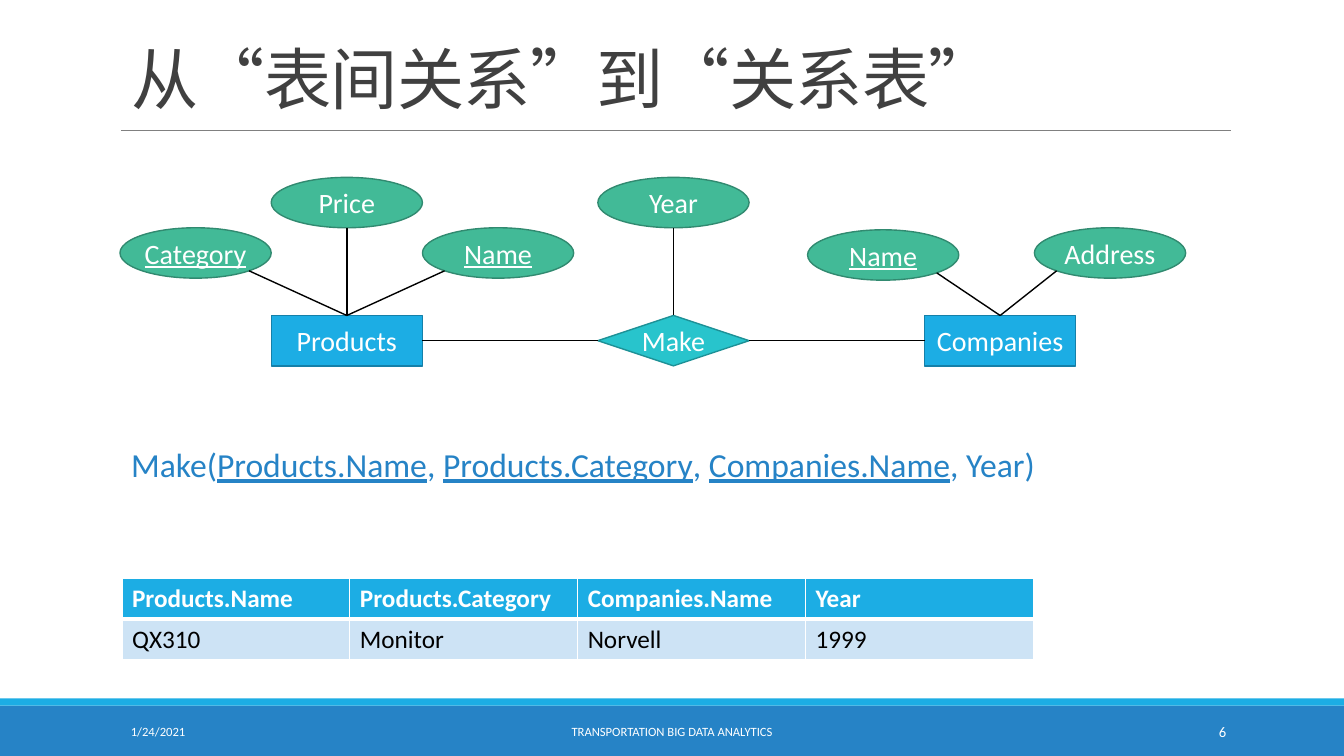
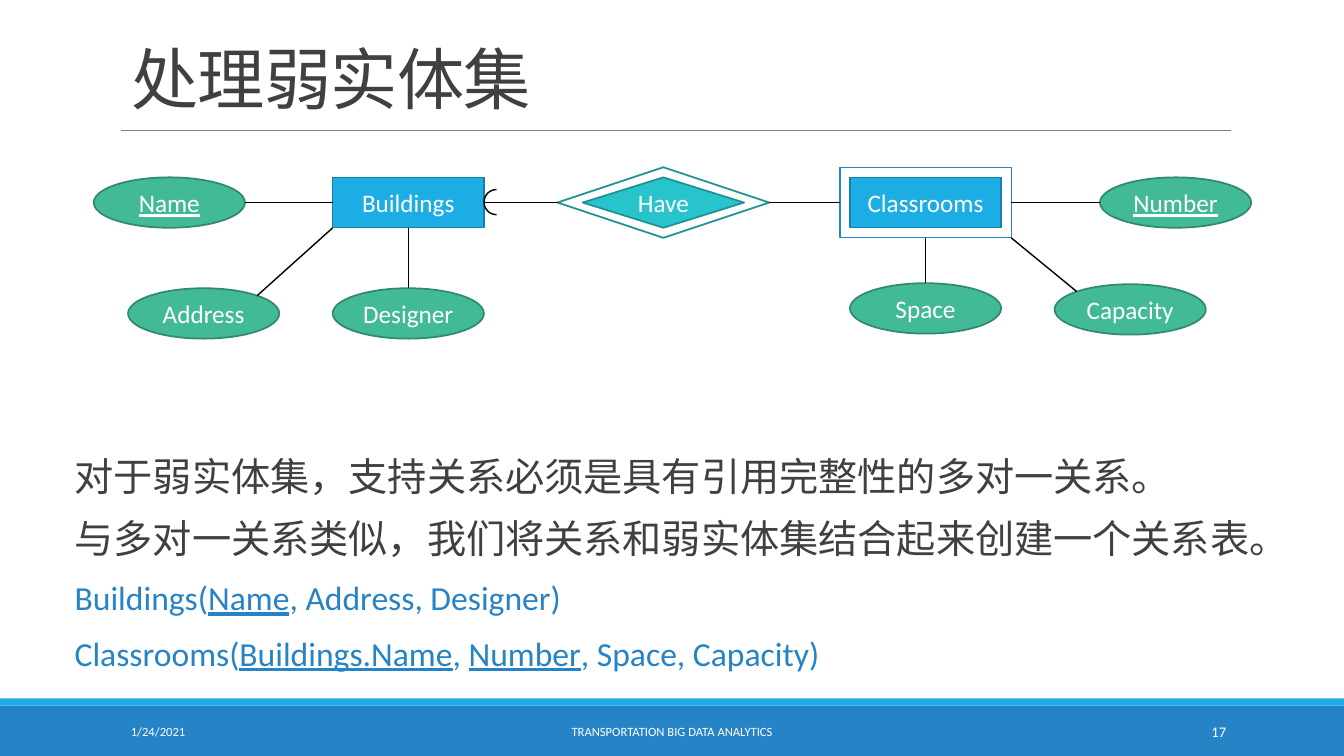
import lxml.etree
import pptx
import pptx.dml.color
import pptx.enum.shapes
import pptx.enum.text
import pptx.oxml.ns
import pptx.util

SHAPE = pptx.enum.shapes.MSO_SHAPE
ALIGN = pptx.enum.text.PP_ALIGN
ANCHOR = pptx.enum.text.MSO_ANCHOR
FONT = "Calibri"
WHITE, BLACK, DARK, GRAY = "FFFFFF", "000000", "404040", "808080"
BLUE, SKY, PALE, TEAL = "2683C6", "1CADE4", "CDE3F5", "1E9197"
KINDS = {
    "entity": (SHAPE.RECTANGLE, SKY, "1580A9"),
    "field": (SHAPE.OVAL, "42BA97", "318A70"),
    "bond": (SHAPE.DIAMOND, "28C4CC", TEAL),
}
SIDES = {"n": (0, -1), "s": (0, 1), "w": (-1, 0), "e": (1, 0),
         "nw": (-1, -1), "ne": (1, -1), "sw": (-1, 1), "se": (1, 1)}


def px(size):
    return pptx.util.Emu(round(size * 9144))


def color(code):
    return pptx.dml.color.RGBColor.from_string(code)


def tag(parent, name, **attrs):
    return lxml.etree.SubElement(parent, pptx.oxml.ns.qn(name), attrs)


def spot(shape, side):
    dx, dy = SIDES[side]
    oval = shape.auto_shape_type == SHAPE.OVAL
    reach = 0.3536 if oval and dx and dy else 0.5
    return (round(shape.left + shape.width * (0.5 + dx * reach)),
            round(shape.top + shape.height * (0.5 + dy * reach)))


class Deck:
    def __init__(self):
        self.file = pptx.Presentation()
        self.file.slide_width = px(1333)
        self.file.slide_height = px(750)

    def start(self, title, page, size, edge):
        self.slide = self.file.slides.add_slide(self.file.slide_layouts[1])
        self.shapes = self.slide.shapes
        self.size, self.edge = size, edge
        self.box(SHAPE.RECTANGLE, (0, 700, 1333, 50), BLUE)
        self.box(SHAPE.RECTANGLE, (0, 693, 1333, 7), SKY)
        self.line((px(120), px(129)), (px(1221), px(129)), GRAY, 0.5)
        self.note((120, 706, 270, 40), "1/24/2021", 9, ALIGN.LEFT)
        self.note((403, 706, 527, 40), "TRANSPORTATION BIG DATA ANALYTICS", 9, ALIGN.CENTER)
        self.note((1083, 706, 143, 40), page, 10.5, ALIGN.RIGHT)
        self.head(title)

    def place(self, shape, area):
        shape.left, shape.top, shape.width, shape.height = map(px, area)

    def label(self, para, text, size, code, bold=False):
        runs = []
        for index, part in enumerate(text.split("_")):
            if part:
                run = para.add_run()
                run.text = part
                font = run.font
                font.name, font.size, font.bold = FONT, pptx.util.Pt(size), bold
                font.underline = index % 2 == 1
                font.color.rgb = color(code)
                runs.append(run)
        return runs

    def head(self, text):
        title = self.shapes.title
        self.place(title, (120, 13, 1100, 109))
        frame = title.text_frame
        frame.auto_size = pptx.enum.text.MSO_AUTO_SIZE.NONE
        frame.vertical_anchor = ANCHOR.BOTTOM
        para = frame.paragraphs[0]
        para.alignment, para.line_spacing = ALIGN.LEFT, 0.85
        for run in self.label(para, text, 48, DARK):
            run._r.get_or_add_rPr().set("spc", "-50")

    def body(self, area, rows):
        holder = self.slide.placeholders[1]
        self.place(holder, area)
        frame = holder.text_frame
        frame.auto_size = pptx.enum.text.MSO_AUTO_SIZE.NONE
        frame.vertical_anchor = ANCHOR.TOP
        frame.margin_left = frame.margin_right = 0
        for index, (text, size, code) in enumerate(rows):
            para = frame.add_paragraph() if index else frame.paragraphs[0]
            para.line_spacing = 0.9
            para.space_before, para.space_after = pptx.util.Pt(12), pptx.util.Pt(2)
            props = para._p.get_or_add_pPr()
            props.set("marL", str(px(10)))
            props.set("indent", "0")
            tag(props, "a:buNone")
            self.label(para, text, size, code)

    def note(self, area, text, size, align):
        frame = self.shapes.add_textbox(*map(px, area)).text_frame
        frame.word_wrap = True
        frame.vertical_anchor = ANCHOR.MIDDLE
        frame.paragraphs[0].alignment = align
        self.label(frame.paragraphs[0], text, size, WHITE)

    def box(self, kind, area, fill=None, edge=None, width=1):
        shape = self.shapes.add_shape(kind, *map(px, area))
        shape.shadow.inherit = False
        if fill:
            shape.fill.solid()
            shape.fill.fore_color.rgb = color(fill)
        else:
            shape.fill.background()
        if edge:
            shape.line.color.rgb = color(edge)
            shape.line.width = pptx.util.Pt(width)
        else:
            shape.line.fill.background()
        return shape

    def node(self, kind, text, x, y, wide=150):
        form, fill, edge = KINDS[kind]
        width = 1 if kind == "entity" else self.edge
        shape = self.box(form, (x, y, wide, 50), fill, edge, width)
        frame = shape.text_frame
        frame.word_wrap = False
        frame.vertical_anchor = ANCHOR.MIDDLE
        frame.paragraphs[0].alignment = ALIGN.CENTER
        self.label(frame.paragraphs[0], text, self.size, WHITE)
        return shape

    def line(self, start, end, code=BLACK, width=1):
        line = self.shapes.add_connector(
            pptx.enum.shapes.MSO_CONNECTOR.STRAIGHT, *start, *end)
        line.line.color.rgb = color(code)
        line.line.width = pptx.util.Pt(width)
        tag(line.element.spPr, "a:effectLst")

    def link(self, first, side, last, other):
        self.line(spot(first, side), spot(last, other))

    def table(self, x, y, wide, high, rows):
        count = len(rows[0])
        grid = self.shapes.add_table(
            len(rows), count, px(x), px(y), px(wide * count), px(high * len(rows))).table
        for r, row in enumerate(rows):
            for c, text in enumerate(row):
                cell = grid.cell(r, c)
                props = cell._tc.get_or_add_tcPr()
                for edge in ("L", "R", "T", "B"):
                    thick = (r, edge) in ((0, "B"), (1, "T"))
                    rule = tag(props, "a:ln" + edge, w=str(pptx.util.Pt(3 if thick else 1)))
                    tag(tag(rule, "a:solidFill"), "a:srgbClr", val=WHITE)
                cell.fill.solid()
                cell.fill.fore_color.rgb = color(PALE if r else SKY)
                self.label(cell.text_frame.paragraphs[0], text, 18,
                           BLACK if r else WHITE, r == 0)


def make(deck):
    deck.start("从“表间关系”到“关系表”", "6", 20, 1)
    deck.body((120, 440, 1100, 109), [
        ("Make(_Products.Name_, _Products.Category_, _Companies.Name_, Year)", 24, BLUE)])
    bond = deck.node("bond", "Make", 593, 313)
    firm = deck.node("entity", "Companies", 917, 313)
    goods = deck.node("entity", "Products", 269, 313)
    for text, x, y, side, owner in (
            ("_Category_", 119, 226, "se", goods),
            ("Price", 269, 176, "s", goods),
            ("_Name_", 419, 226, "sw", goods),
            ("Year", 593, 176, "s", bond),
            ("_Name_", 801, 228, "se", firm),
            ("Address", 1026, 226, "sw", firm)):
        deck.link(deck.node("field", text, x, y), side, owner, "n")
    deck.link(goods, "e", bond, "w")
    deck.link(bond, "e", firm, "w")
    deck.table(121, 574, 226, 40, [
        ("Products.Name", "Products.Category", "Companies.Name", "Year"),
        ("QX310", "Monitor", "Norvell", "1999")])


def weak(deck):
    deck.start("处理弱实体集", "17", 18, 1.25)
    deck.body((64, 449, 1243, 241), [
        ("对于弱实体集，支持关系必须是具有引用完整性的多对一关系。", 28, DARK),
        ("与多对一关系类似，我们将关系和弱实体集结合起来创建一个关系表。", 28, DARK),
        ("Buildings(_Name_, Address, Designer)", 24, BLUE),
        ("Classrooms(_Buildings.Name_, _Number_, Space, Capacity)", 24, BLUE)])
    house = deck.node("entity", "Buildings", 330, 176)
    deck.node("entity", "Classrooms", 843, 176)
    room = deck.box(SHAPE.RECTANGLE, (833, 166, 170, 70), None, BLUE)
    deck.node("bond", "Have", 578, 176, 160)
    bond = deck.box(SHAPE.DIAMOND, (553, 166, 210, 70), None, TEAL, 1.25)
    for text, x, y, side, owner, other in (
            ("_Name_", 93, 176, "e", house, "w"),
            ("Address", 127, 286, "ne", house, "sw"),
            ("Designer", 330, 286, "n", house, "s"),
            ("_Number_", 1091, 176, "w", room, "e"),
            ("Space", 843, 281, "n", room, "s"),
            ("Capacity", 1046, 282, "nw", room, "se")):
        deck.link(deck.node("field", text, x, y), side, owner, other)
    deck.link(house, "e", bond, "w")
    deck.link(bond, "e", room, "w")
    arc = deck.box(SHAPE.ARC, (480, 188, 25, 25), None, BLACK)
    arc.adjustments[0], arc.adjustments[1] = 162, 53.83
    arc.rotation = 180


def main():
    deck = Deck()
    make(deck)
    weak(deck)
    deck.file.save("out.pptx")


if __name__ == "__main__":
    main()
